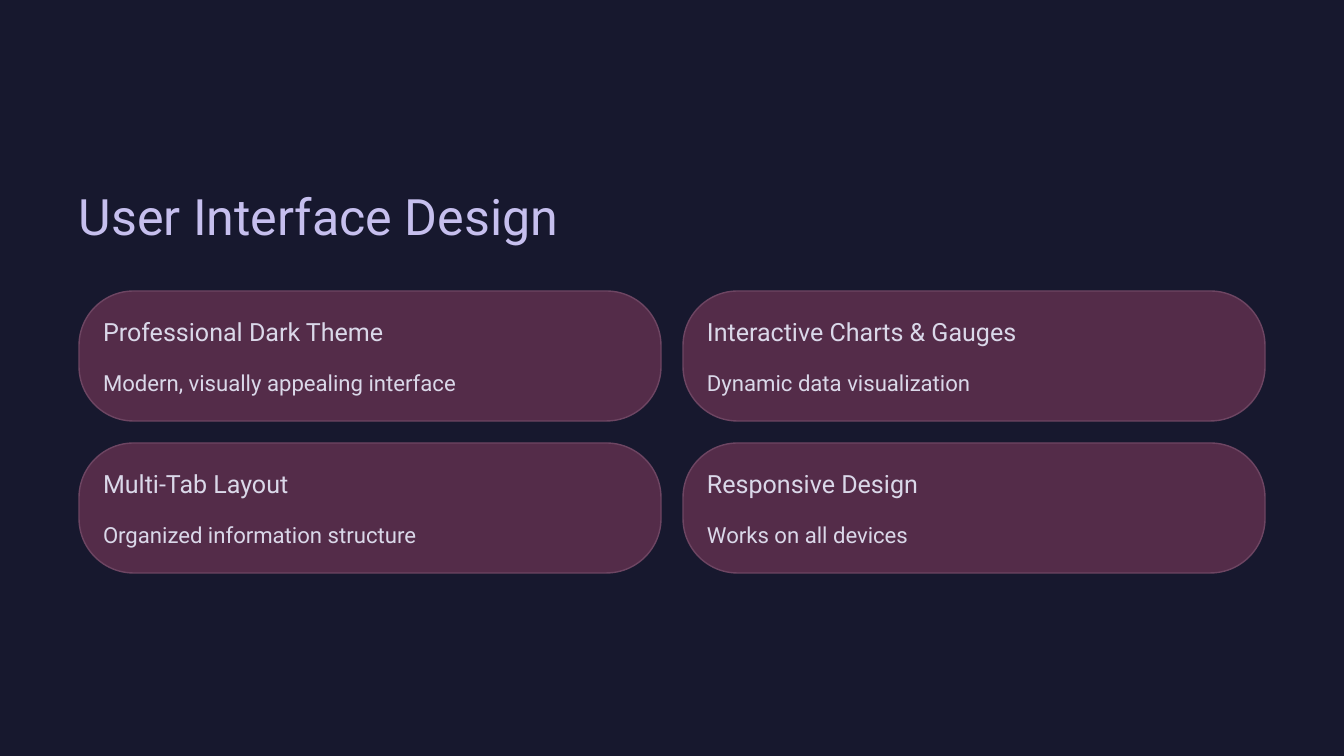
from pptx import Presentation
from pptx.dml.color import RGBColor
from pptx.enum.shapes import MSO_SHAPE as Shape
from pptx.enum.text import MSO_ANCHOR as Anchor, PP_ALIGN as Align
from pptx.util import Pt

EMU_PER_PX = 914400 / 84


def px(*lengths):
    return [round(length * EMU_PER_PX) for length in lengths]


def add_text(text, left, top, width, height, size, leading, color):
    box = page.shapes.add_textbox(*px(left, top, width, height))
    frame = box.text_frame
    frame.margin_left = frame.margin_right = 0
    frame.margin_top = frame.margin_bottom = 0
    frame.vertical_anchor = Anchor.TOP
    frame.word_wrap = False
    para = frame.paragraphs[0]
    para.alignment = Align.LEFT
    para.line_spacing = Pt(leading)
    span = para.add_run()
    span.text = text
    span.font.name = "Roboto"
    span.font.size = Pt(size)
    span.font.color.rgb = RGBColor.from_string(color)


deck = Presentation()
deck.slide_width, deck.slide_height = px(1344, 756)
page = deck.slides.add_slide(deck.slide_layouts[6])
page.background.fill.solid()
page.background.fill.fore_color.rgb = RGBColor.from_string("17182E")

add_text("User Interface Design", 79, 183, 531, 63, size=43, leading=54, color="C6BFEE")

features = [
    ("Professional Dark Theme", "Modern, visually appealing interface"),
    ("Interactive Charts & Gauges", "Dynamic data visualization"),
    ("Multi-Tab Layout", "Organized information structure"),
    ("Responsive Design", "Works on all devices"),
]
for index, (heading, detail) in enumerate(features):
    row, column = divmod(index, 2)
    left = 79 + column * 604
    top = 291 + row * 152
    card = page.shapes.add_shape(Shape.ROUNDED_RECTANGLE, *px(left, top, 582, 130))
    card.adjustments[0] = 0.42
    card.shadow.inherit = False
    card.fill.solid()
    card.fill.fore_color.rgb = RGBColor.from_string("542C49")
    card.line.color.rgb = RGBColor.from_string("6D4562")
    card.line.width = Pt(1.2)
    add_text(heading, left + 24, top + 24, 349, 32, size=21.5, leading=27, color="DAD8E9")
    add_text(detail, left + 24, top + 69, 533, 36, size=19, leading=31, color="DAD8E9")

deck.save("out.pptx")
